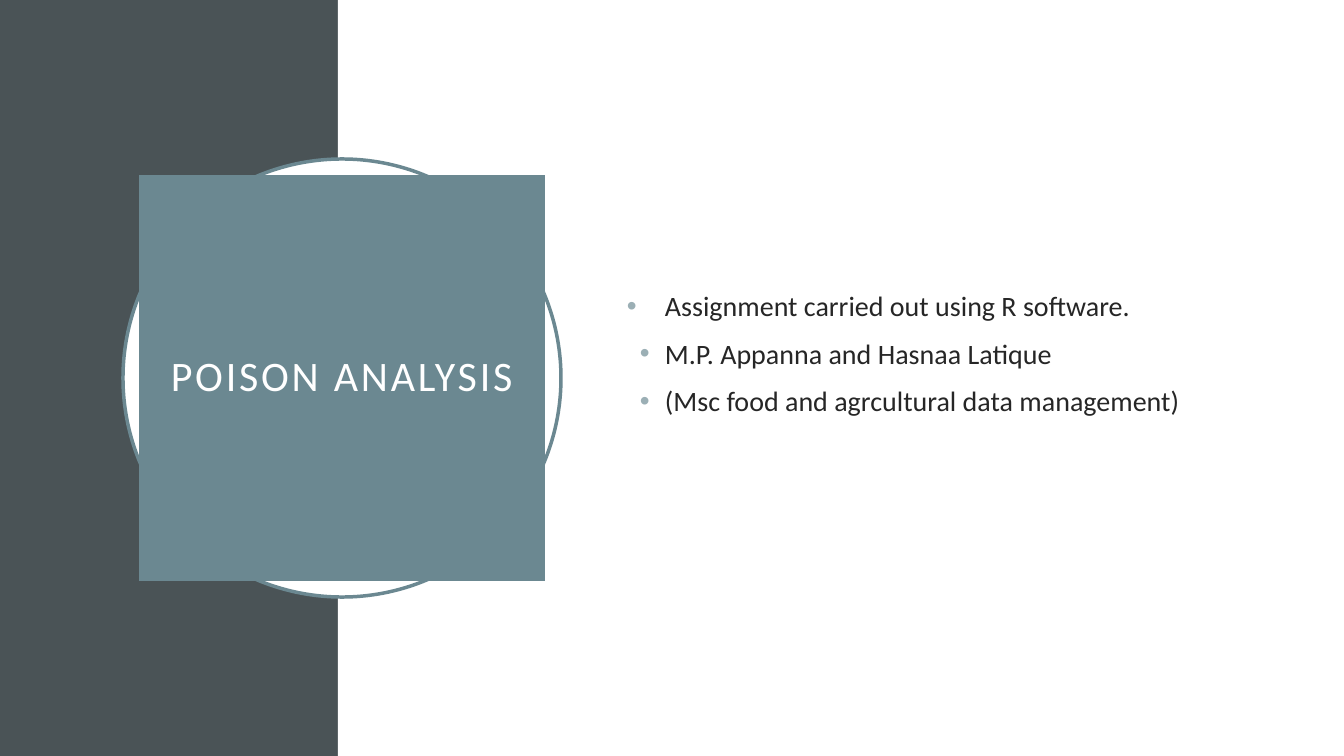
from lxml import etree
from pptx import Presentation
from pptx.dml.color import RGBColor
from pptx.enum.shapes import MSO_SHAPE
from pptx.enum.text import MSO_ANCHOR, MSO_AUTO_SIZE, PP_ALIGN
from pptx.oxml.ns import qn
from pptx.util import Emu, Pt

RECTANGLE = MSO_SHAPE.RECTANGLE
OVAL = MSO_SHAPE.OVAL
MIDDLE = MSO_ANCHOR.MIDDLE
NO_AUTOFIT = MSO_AUTO_SIZE.NONE
CENTER = PP_ALIGN.CENTER

SLATE = RGBColor(0x4A, 0x53, 0x56)
TEAL = RGBColor(0x6B, 0x88, 0x91)
BULLET = RGBColor(0x9B, 0xAF, 0xB5)
INK = RGBColor(0x26, 0x26, 0x26)
WHITE = RGBColor(0xFF, 0xFF, 0xFF)

WIDTH, HEIGHT = 1344, 756
PANEL_WIDTH = 338
TITLE_ONLY = 5
BULLET_INDENT = 38
DETAILS = [
    ("Assignment carried out using R software.", 38),
    ("M.P. Appanna and Hasnaa Latique", 25),
    ("(Msc food and agrcultural data management)", 25),
]


def px(length):
    """Turn a length in px into EMU."""
    return Emu(round(length * 914400 / 100.8))


class SlideBuilder:
    """Hold the style and the current page, and add elements to it."""

    font = "Calibri"

    def __init__(self, page):
        """Keep the page that elements are added to."""
        self.page = page

    def style(self, para, size, color):
        """Format every run of a paragraph."""
        for span in para.runs:
            span.font.name = self.font
            span.font.size = Pt(size)
            span.font.color.rgb = color

    def shape(self, kind, left, top, width, height, fill, line=None):
        """Add a flat shape, outlined if a line colour is given."""
        shape = self.page.shapes.add_shape(
            kind, px(left), px(top), px(width), px(height))
        shape.shadow.inherit = False
        shape.fill.solid()
        shape.fill.fore_color.rgb = fill
        if line is None:
            shape.line.fill.background()
        else:
            shape.line.color.rgb = line
            shape.line.width = Pt(2.5)

    def title(self, text, left, top, width, height):
        """Place the filled title in front of the shapes added so far."""
        title = self.page.shapes.title
        self.page.shapes._spTree.append(title._element)
        title.left, title.top = px(left), px(top)
        title.width, title.height = px(width), px(height)
        title.fill.solid()
        title.fill.fore_color.rgb = TEAL
        frame = title.text_frame
        frame.text = text
        frame.word_wrap = True
        frame.auto_size = NO_AUTOFIT
        frame.vertical_anchor = MIDDLE
        frame.margin_left = frame.margin_right = px(20)
        frame.margin_top = frame.margin_bottom = px(20)
        para = frame.paragraphs[0]
        para.alignment = CENTER
        para.line_spacing = 0.9
        self.style(para, 30, WHITE)
        para.runs[0].font._element.set("spc", "200")

    def bullets(self, items, left, top, width, height):
        """Add a bulleted list of texts, each with its hanging indent."""
        box = self.page.shapes.add_textbox(
            px(left), px(top), px(width), px(height))
        frame = box.text_frame
        frame.word_wrap = True
        frame.vertical_anchor = MIDDLE
        frame.text = "\n".join(text for text, _ in items)
        for para, (_, hanging) in zip(frame.paragraphs, items):
            para.space_before = Pt(10)
            self.style(para, 20, INK)
            properties = para._p.get_or_add_pPr()
            properties.set("marL", str(px(BULLET_INDENT)))
            properties.set("indent", str(px(-hanging)))
            color = etree.SubElement(properties, qn("a:buClr"))
            etree.SubElement(color, qn("a:srgbClr"), val=str(BULLET))
            etree.SubElement(properties, qn("a:buFont"), typeface="Arial")
            etree.SubElement(properties, qn("a:buChar"), char="•")


def main():
    """Build the title slide and save it."""
    deck = Presentation()
    deck.slide_width, deck.slide_height = px(WIDTH), px(HEIGHT)
    page = deck.slides.add_slide(deck.slide_layouts[TITLE_ONLY])
    builder = SlideBuilder(page)
    builder.shape(RECTANGLE, 0, 0, PANEL_WIDTH, HEIGHT, SLATE)
    builder.shape(RECTANGLE, PANEL_WIDTH, 0, WIDTH - PANEL_WIDTH, HEIGHT, WHITE)
    builder.shape(OVAL, 123, 159, 438, 438, WHITE, TEAL)
    builder.title("POISON ANALYSIS", 139, 175, 406, 406)
    builder.bullets(DETAILS, 617, 154, 587, 398)
    deck.save("out.pptx")


if __name__ == "__main__":
    main()
